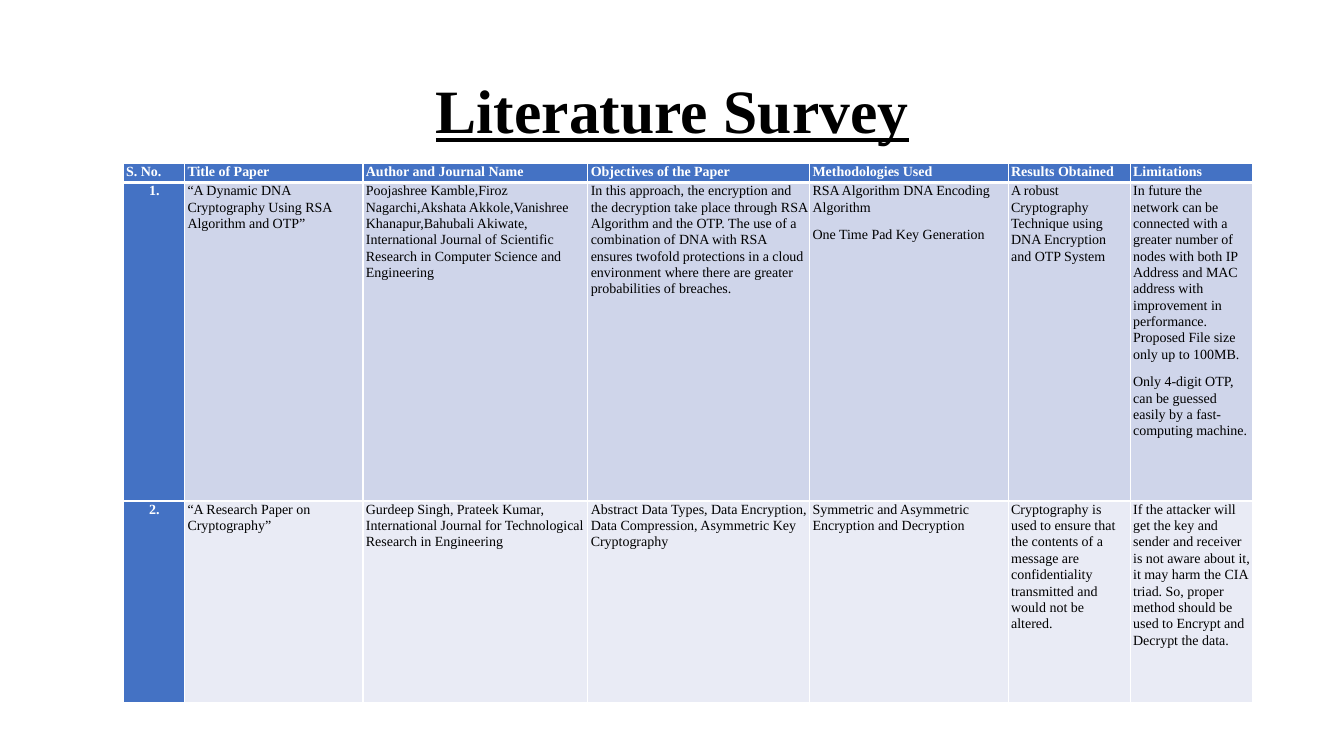
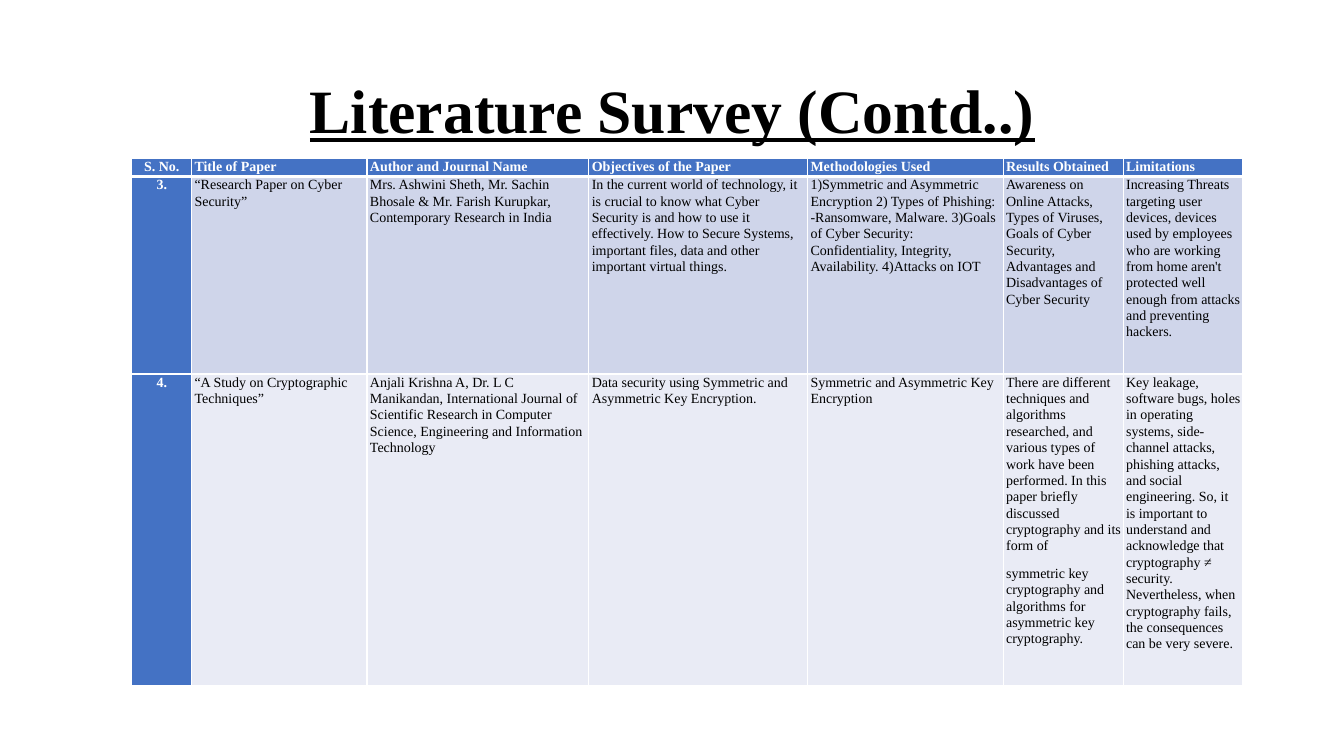
from dataclasses import dataclass

from lxml import etree
from pptx import Presentation
from pptx.dml.color import RGBColor
from pptx.enum.text import MSO_ANCHOR, PP_ALIGN
from pptx.oxml.ns import qn
from pptx.util import Emu, Pt

CENTER, LEFT = PP_ALIGN.CENTER, PP_ALIGN.LEFT
MIDDLE = MSO_ANCHOR.MIDDLE
EMU_PER_PX = 9144  # 100 px to the inch
EMU_PER_PT = 12700
BLANK_LAYOUT = 6


@dataclass(frozen=True)
class Theme:
    font: str = "Times New Roman"
    title_size: int = 44
    table_size: int = 10
    text: str = "000000"
    header_text: str = "FFFFFF"
    accent: str = "4472C4"
    bands: tuple[str, ...] = ("CFD5EA", "E9EBF5")
    border: str = "FFFFFF"
    border_width: int = 1
    header_rule: int = 3


@dataclass(frozen=True)
class Paper:
    """One surveyed paper; a line break starts a new paragraph."""
    number: str
    title: str
    authors: str
    objectives: str
    methods: str
    results: str
    limitations: str

    def entries(self) -> tuple[str, ...]:
        return (self.number, self.title, self.authors, self.objectives,
                self.methods, self.results, self.limitations)


@dataclass(frozen=True)
class Survey:
    """A survey slide, with its table measured in px."""
    title: str
    left: int
    top: int
    columns: tuple[int, ...]
    rows: tuple[int, ...]
    number_heading_align: PP_ALIGN
    papers: tuple[Paper, ...]


THEME = Theme()
HEADINGS = ("S. No.", "Title of Paper", "Author and Journal Name",
            "Objectives of the Paper", "Methodologies Used",
            "Results Obtained", "Limitations")

SURVEYS = (
    Survey(
        "Literature Survey", 122, 162,
        (61, 177, 223, 220, 197, 121, 121), (19, 316, 200), LEFT,
        (
            Paper(
                "1.",
                "“A Dynamic DNA Cryptography Using RSA Algorithm and OTP”",
                "Poojashree Kamble,Firoz Nagarchi,Akshata Akkole,Vanishree "
                "Khanapur,Bahubali Akiwate, International Journal of Scientific "
                "Research in Computer Science and Engineering",
                "In this approach, the encryption and the decryption take place "
                "through RSA Algorithm and the OTP. The use of a combination of "
                "DNA with RSA ensures twofold protections in a cloud environment "
                "where there are greater probabilities of breaches.",
                "RSA Algorithm DNA Encoding Algorithm\n"
                "One Time Pad Key Generation",
                "A robust Cryptography Technique using DNA Encryption and OTP "
                "System",
                "In future the network can be connected with a greater number of "
                "nodes with both IP Address and MAC address with improvement in "
                "performance. Proposed File size only up to 100MB.\n"
                "Only 4-digit OTP, can be guessed easily by a fast-computing "
                "machine.",
            ),
            Paper(
                "2.",
                "“A Research Paper on Cryptography”",
                "Gurdeep Singh, Prateek Kumar, International Journal for "
                "Technological Research in Engineering",
                "Abstract Data Types, Data Encryption, Data Compression, "
                "Asymmetric Key Cryptography",
                "Symmetric and Asymmetric Encryption and Decryption",
                "Cryptography is used to ensure that the contents of a message "
                "are confidentiality transmitted and would not be altered.",
                "If the attacker will get the key and sender and receiver is not "
                "aware about it, it may harm the CIA triad. So, proper method "
                "should be used to Encrypt and Decrypt the data.",
            ),
        ),
    ),
    Survey(
        "Literature Survey (Contd..)", 130, 157,
        (60, 174, 220, 217, 194, 119, 119), (18, 196, 309), CENTER,
        (
            Paper(
                "3.",
                "“Research Paper on Cyber Security”",
                "Mrs. Ashwini Sheth, Mr. Sachin Bhosale & Mr. Farish Kurupkar, "
                "Contemporary Research in India",
                "In the current world of technology, it is crucial to know what "
                "Cyber Security is and how to use it effectively. How to Secure "
                "Systems, important files, data and other important virtual "
                "things.",
                "1)Symmetric and Asymmetric Encryption 2) Types of Phishing: "
                "-Ransomware, Malware. 3)Goals of Cyber Security: "
                "Confidentiality, Integrity, Availability. 4)Attacks on IOT",
                "Awareness on Online Attacks, Types of Viruses, Goals of Cyber "
                "Security, Advantages and Disadvantages of Cyber Security",
                "Increasing Threats targeting user devices, devices used by "
                "employees who are working from home aren't protected well "
                "enough from attacks and preventing hackers.",
            ),
            Paper(
                "4.",
                "“A Study on Cryptographic Techniques”",
                "Anjali Krishna A, Dr. L C Manikandan, International Journal of "
                "Scientific Research in Computer Science, Engineering and "
                "Information Technology",
                "Data security using Symmetric and Asymmetric Key Encryption.",
                "Symmetric and Asymmetric Key Encryption",
                "There are different techniques and algorithms researched, and "
                "various types of work have been performed. In this paper "
                "briefly discussed cryptography and its form of\n"
                "symmetric key cryptography and algorithms for asymmetric key "
                "cryptography.",
                "Key leakage, software bugs, holes in operating systems, "
                "side-channel attacks, phishing attacks, and social engineering. "
                "So, it is important to understand and acknowledge that "
                "cryptography ≠ security. Nevertheless, when cryptography fails, "
                "the consequences can be very severe.",
            ),
        ),
    ),
)


def px(length: int) -> Emu:
    return Emu(length * EMU_PER_PX)


def style_font(font, size: int, color: str, bold: bool) -> None:
    font.name = THEME.font
    font.size = Pt(size)
    font.bold = bold
    font.color.rgb = RGBColor.from_string(color)


def add_title(slide, title: str) -> None:
    frame = slide.shapes.add_textbox(px(92), px(40), px(1150), px(145)).text_frame
    frame.word_wrap = True
    frame.vertical_anchor = MIDDLE
    heading = frame.paragraphs[0]
    heading.text = title
    heading.alignment = CENTER
    heading.line_spacing = 0.9
    style_font(heading.font, THEME.title_size, THEME.text, True)
    heading.font.underline = True


def set_borders(cell, top: int, bottom: int) -> None:
    """Draw all four cell borders; top and bottom widths are in points."""
    properties = cell._tc.get_or_add_tcPr()
    side = THEME.border_width
    for tag, width in (("a:lnL", side), ("a:lnR", side),
                       ("a:lnT", top), ("a:lnB", bottom)):
        line = etree.SubElement(properties, qn(tag), w=str(width * EMU_PER_PT))
        fill = etree.SubElement(line, qn("a:solidFill"))
        etree.SubElement(fill, qn("a:srgbClr"), val=THEME.border)


def fill_cell(cell, content: str, row: int, column: int, align: PP_ALIGN) -> None:
    is_heading = row == 0 or column == 0
    background = THEME.accent if is_heading else THEME.bands[(row - 1) % 2]
    color = THEME.header_text if is_heading else THEME.text
    set_borders(cell,
                top=THEME.header_rule if row == 1 else THEME.border_width,
                bottom=THEME.header_rule if row == 0 else THEME.border_width)
    cell.fill.solid()
    cell.fill.fore_color.rgb = RGBColor.from_string(background)
    cell.margin_left, cell.margin_right = px(3), px(2)
    cell.margin_top = cell.margin_bottom = 0
    cell.text = content
    for paragraph in cell.text_frame.paragraphs:
        paragraph.alignment = align
        paragraph.line_spacing = 1.06
        paragraph.space_after = Pt(8)
        style_font(paragraph.font, THEME.table_size, color, is_heading)


def add_survey_table(slide, survey: Survey) -> None:
    table = slide.shapes.add_table(
        len(survey.rows), len(survey.columns), px(survey.left), px(survey.top),
        px(sum(survey.columns)), px(sum(survey.rows))).table
    table.first_col = True
    table.horz_banding = False
    for column, width in zip(table.columns, survey.columns):
        column.width = px(width)
    for row, height in zip(table.rows, survey.rows):
        row.height = px(height)
    contents = (HEADINGS, *(paper.entries() for paper in survey.papers))
    for row, entries in enumerate(contents):
        number_align = survey.number_heading_align if row == 0 else CENTER
        for column, entry in enumerate(entries):
            align = number_align if column == 0 else LEFT
            fill_cell(table.cell(row, column), entry, row, column, align)


def main() -> None:
    deck = Presentation()
    deck.slide_width, deck.slide_height = px(1333), px(750)
    for survey in SURVEYS:
        slide = deck.slides.add_slide(deck.slide_layouts[BLANK_LAYOUT])
        add_title(slide, survey.title)
        add_survey_table(slide, survey)
    deck.save("out.pptx")


if __name__ == "__main__":
    main()
